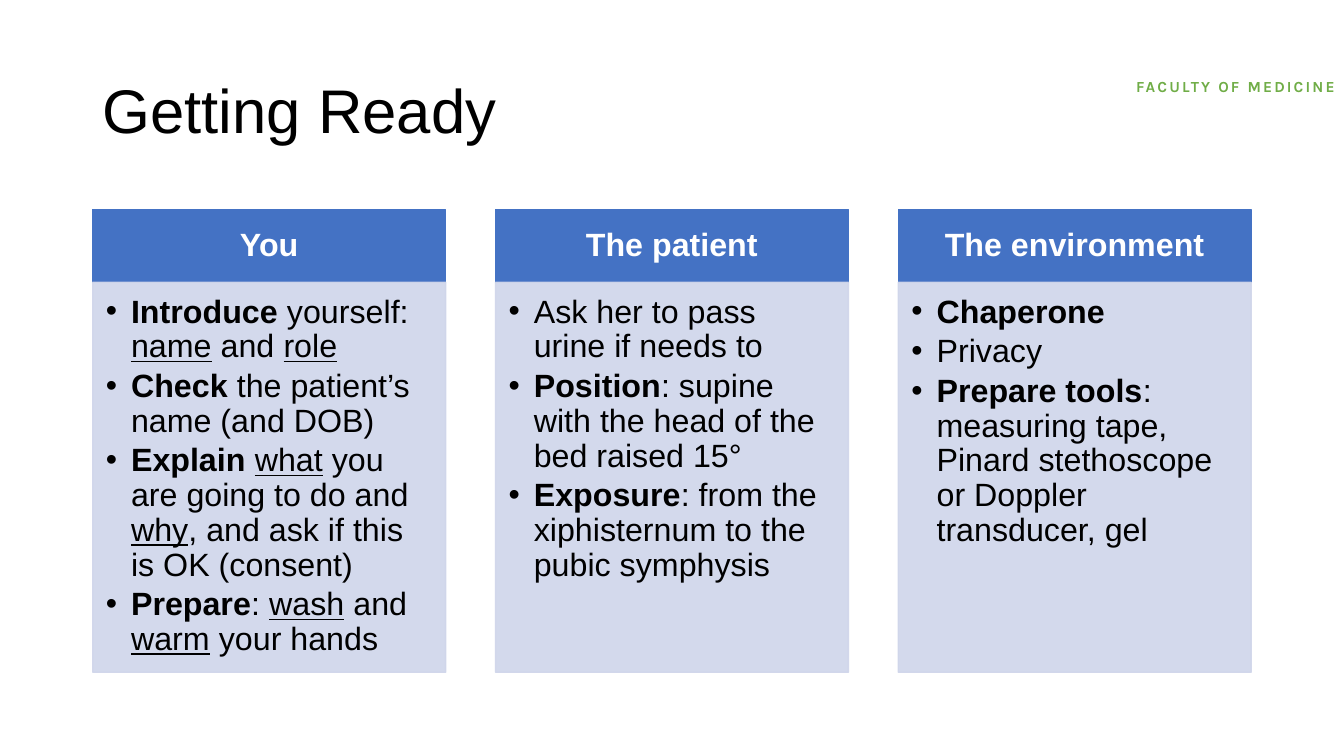
from lxml.etree import SubElement
from pptx import Presentation
from pptx.dml.color import RGBColor
from pptx.enum.shapes import MSO_SHAPE
from pptx.enum.text import MSO_ANCHOR, PP_ALIGN
from pptx.oxml.ns import qn
from pptx.util import Inches, Pt

COLORS = {
    "black": "000000",
    "white": "FFFFFF",
    "header": "4472C4",
    "panel": "CFD5EA",
    "faculty": "70AD47",
}
LEFT, TOP, WIDTH = 0.92, 2.08, 3.5
PITCH = 3.995
HEADER_H, PANEL_H = 0.72, 3.87

# Each bullet is a list of (text, style) runs: "b" bold, "u" underlined
COLUMNS = [
    ("You", [
        [("Introduce", "b"), (" yourself: ", ""), ("name", "u"), (" and ", ""),
         ("role", "u")],
        [("Check", "b"), (" the patient’s name (and DOB)", "")],
        [("Explain ", "b"), ("what", "u"), (" you are going to do and ", ""),
         ("why", "u"), (", and ask if this is OK (consent)", "")],
        [("Prepare", "b"), (": ", ""), ("wash", "u"), (" and ", ""),
         ("warm", "u"), (" your hands", "")],
    ]),
    ("The patient", [
        [("Ask her to pass urine if needs to", "")],
        [("Position", "b"), (": supine with the head of the bed raised 15°", "")],
        [("Exposure", "b"), (": from the xiphisternum to the pubic symphysis", "")],
    ]),
    ("The environment", [
        [("Chaperone", "b")],
        [("Privacy", "")],
        [("Prepare tools", "b"),
         (": measuring tape, Pinard stethoscope or Doppler transducer, gel", "")],
    ]),
]


def rgb(name):
    return RGBColor.from_string(COLORS[name])


def add_run(p, text, size=23, color="black", font="Arial", bold=False,
            underline=False, spacing=None):
    r = p.add_run()
    r.text = text
    r.font.size = Pt(size)
    r.font.name = font
    r.font.bold = bold
    r.font.underline = underline
    r.font.color.rgb = rgb(color)
    if spacing:
        r.font._element.set("spc", str(int(spacing * 100)))


def set_frame(tf, insets, anchor=MSO_ANCHOR.TOP, wrap=True):
    tf.word_wrap = wrap
    tf.vertical_anchor = anchor
    (tf.margin_left, tf.margin_top,
     tf.margin_right, tf.margin_bottom) = map(Inches, insets)


def add_label(s, box, text, insets, anchor=MSO_ANCHOR.TOP, align=PP_ALIGN.LEFT,
              wrap=True, line_spacing=1.0, **style):
    tf = s.shapes.add_textbox(*map(Inches, box)).text_frame
    set_frame(tf, insets, anchor, wrap)
    p = tf.paragraphs[0]
    p.alignment = align
    p.line_spacing = line_spacing
    add_run(p, text, **style)


def add_rect(s, box, color, opacity=100):
    sp = s.shapes.add_shape(MSO_SHAPE.RECTANGLE, *map(Inches, box))
    sp.shadow.inherit = False
    sp.fill.solid()
    sp.fill.fore_color.rgb = rgb(color)
    sp.line.color.rgb = rgb(color)
    sp.line.width = Pt(1)
    if opacity < 100:
        for clr in sp._element.spPr.iter(qn("a:srgbClr")):
            SubElement(clr, qn("a:alpha"), val=str(opacity * 1000))
    return sp


def add_header(s, left, text):
    tf = add_rect(s, (left, TOP, WIDTH, HEADER_H), "header").text_frame
    set_frame(tf, (0.18, 0.1, 0.18, 0.1), MSO_ANCHOR.MIDDLE)
    p = tf.paragraphs[0]
    p.alignment = PP_ALIGN.CENTER
    p.line_spacing = 0.9
    add_run(p, text, color="white", bold=True)


def add_bullet(p, runs):
    p.alignment = PP_ALIGN.LEFT
    p.line_spacing = 0.9
    p.space_after = Pt(3.5)
    pPr = p._p.get_or_add_pPr()
    pPr.set("marL", str(Inches(0.25)))
    pPr.set("indent", str(-Inches(0.25)))
    SubElement(pPr, qn("a:buFont"), typeface="Arial")
    SubElement(pPr, qn("a:buChar"), char="•")
    for text, style in runs:
        add_run(p, text, bold=style == "b", underline=style == "u")


def add_panel(s, left, bullets):
    box = (left, TOP + HEADER_H, WIDTH, PANEL_H)
    tf = add_rect(s, box, "panel", opacity=90).text_frame
    set_frame(tf, (0.13, 0.13, 0.18, 0.2))
    for i, runs in enumerate(bullets):
        add_bullet(tf.add_paragraph() if i else tf.paragraphs[0], runs)


def main():
    prs = Presentation()
    prs.slide_width, prs.slide_height = Inches(13.33), Inches(7.5)
    s = prs.slides.add_slide(prs.slide_layouts[6])

    # Faculty label and title
    add_label(s, (11.25, 0.73, 2.01, 0.2), "FACULTY OF MEDICINE",
              (0, 0.04, 0, 0.04), align=PP_ALIGN.CENTER, wrap=False,
              size=11, font="Karla", color="faculty", bold=True, spacing=1.5)
    add_label(s, (LEFT, 0.4, 11.5, 1.45), "Getting Ready",
              (0.1, 0.05, 0.1, 0.05), anchor=MSO_ANCHOR.MIDDLE,
              line_spacing=0.9, size=44)

    # Three columns: header above bullet panel
    for i, (heading, bullets) in enumerate(COLUMNS):
        left = LEFT + i * PITCH
        add_header(s, left, heading)
        add_panel(s, left, bullets)

    prs.save("out.pptx")


if __name__ == "__main__":
    main()
